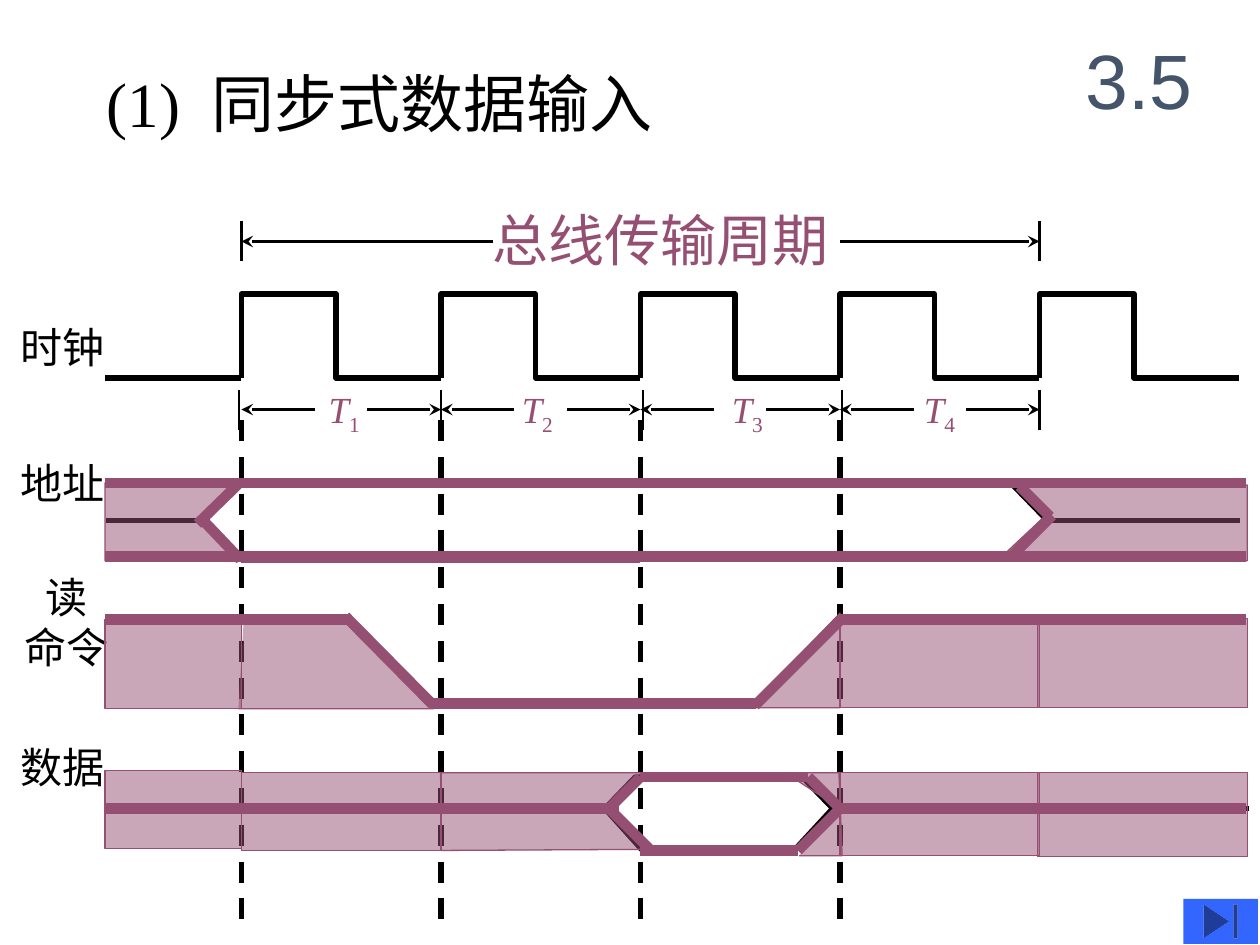
from itertools import pairwise

from lxml.etree import SubElement
from pptx import Presentation
from pptx.dml.color import RGBColor
from pptx.enum.dml import MSO_LINE_DASH_STYLE as Dash
from pptx.enum.shapes import MSO_CONNECTOR as Connector, MSO_SHAPE as Shape
from pptx.enum.text import MSO_ANCHOR as Anchor, PP_ALIGN as Align
from pptx.oxml.ns import qn
from pptx.util import Emu, Pt

SCALE = 7620
COLORS = {"ink": "000000", "plum": "954F72", "slate": "44546A", "blue": "3366FF"}
SERIF, SANS, CJK = "Times New Roman", "Arial", "Noto Sans CJK SC"
PERIOD, PULSE, LEAD = 190, 90, 130
EDGES = [LEAD + PERIOD * step for step in range(5)]
RIGHT = 1087


def px(length):
    """Turn px into EMU."""
    return Emu(length * SCALE)


def rgb(name):
    """Look up a named colour."""
    return RGBColor.from_string(COLORS[name])


def add_text(page, box, paras, size, font=SERIF, color="ink", inset=(0, 0, 0, 0),
             wrap=True, align=Align.LEFT, anchor=Anchor.TOP):
    """Write paragraphs given as (indent, [(text, format), ...]) in a text box."""
    frame = page.shapes.add_textbox(*map(px, box)).text_frame
    frame.word_wrap, frame.vertical_anchor = wrap, anchor
    (frame.margin_left, frame.margin_top,
     frame.margin_right, frame.margin_bottom) = map(px, inset)
    for index, (indent, spans) in enumerate(paras):
        para = frame.add_paragraph() if index else frame.paragraphs[0]
        para.alignment = align
        if indent:
            para._p.get_or_add_pPr().set("marL", str(px(indent)))
        for text, form in spans:
            span = para.add_run()
            span.text = text
            span.font.size, span.font.name = Pt(size), font
            span.font.italic = form.get("italic", False)
            span.font.color.rgb = rgb(color)
            props = span._r.get_or_add_rPr()
            SubElement(props, qn("a:ea")).set("typeface", CJK)
            for key in ("baseline", "spc"):
                if key in form:
                    props.set(key, str(form[key]))


def add_line(page, origin, start, end, color="ink", width=3, arrow=None, dash=None):
    """Draw a straight line between two points measured from the origin."""
    left, top = origin
    line = page.shapes.add_connector(
        Connector.STRAIGHT, px(left + start[0]), px(top + start[1]),
        px(left + end[0]), px(top + end[1]))
    line.line.color.rgb, line.line.width = rgb(color), Pt(width)
    if dash:
        line.line.dash_style = dash
    if arrow:
        SubElement(line.line._get_or_add_ln(), qn(f"a:{arrow}")).set("type", "stealth")
    SubElement(line._element.spPr, qn("a:effectLst"))


def add_rail(page, origin, y, stops, width=6):
    """Draw a level plum signal from stop to stop."""
    for start, end in pairwise(stops):
        add_line(page, origin, (start, y), (end, y), "plum", width)


def add_outline(page, origin, points, width=3, close=False):
    """Draw an unfilled or shadeable outline through the points."""
    left, top = origin
    places = [(left + x, top + y) for x, y in points]
    builder = page.shapes.build_freeform(*places[0], scale=SCALE)
    builder.add_line_segments(places[1:], close=close)
    outline = builder.convert_to_shape()
    outline.shadow.inherit = False
    outline.fill.background()
    outline.line.color.rgb, outline.line.width = rgb("ink"), Pt(width)
    return outline


def shade(shape):
    """Give a shape the half transparent plum fill."""
    shape.shadow.inherit = False
    shape.fill.solid()
    shape.fill.fore_color.rgb = rgb("plum")
    color = shape._element.spPr.find(qn("a:solidFill"))[0]
    SubElement(color, qn("a:alpha")).set("val", "50000")
    shape.line.color.rgb, shape.line.width = rgb("plum"), Pt(0.75)


def add_shade(page, origin, points, close=False):
    """Shade an irregular idle area."""
    shade(add_outline(page, origin, points, close=close))


def add_block(page, origin, x, y, width, height):
    """Shade a rectangular idle area."""
    box = (origin[0] + x, origin[1] + y, width, height)
    shade(page.shapes.add_shape(Shape.RECTANGLE, *map(px, box)))


def add_label(page, box, lines, inset):
    """Write a row name, each line with its own indent."""
    add_text(page, box, [(indent, [(text, {})]) for text, indent in lines], 24,
             inset=(inset, 6, 12, 6))


def draw_header(page, box):
    """Place the title and the section number."""
    left, top = box
    title = [("(1)", {}), (" ", {"spc": 900}), ("同步式数据输入", {})]
    add_text(page, (left, top, 620, 84), [(0, title)], 36, inset=(12, 6, 12, 6))
    add_text(page, (left + 920, top - 36, 150, 110), [(0, [("3.5", {})])], 44, SANS,
             "slate", (12, 6, 12, 6), align=Align.CENTER, anchor=Anchor.MIDDLE)


def draw_cycle(page, box):
    """Mark the whole bus cycle above the clock."""
    left, top = box
    first, last = EDGES[0], EDGES[-1]
    add_line(page, box, (first, 20), (370, 20), width=2.25, arrow="headEnd")
    add_line(page, box, (700, 20), (last, 20), width=2.25, arrow="tailEnd")
    for x in (first, last):
        add_line(page, box, (x, 0), (x, 39), width=1.25)
    add_text(page, (left + 369, top - 14, 322, 64), [(0, [("总线传输周期", {})])],
             32, CJK, "plum", wrap=False)


def draw_clock(page, box):
    """Draw the clock pulses and the four numbered periods."""
    left, top = box
    add_label(page, (left - 90, top + 20, 120, 60), [("时钟", 0)], 10)
    add_line(page, box, (LEAD, 80), (0, 80))
    for x in EDGES:
        add_outline(page, box, [(x, 80), (x, 0), (x + PULSE, 0),
                                (x + PULSE, 80), (x + PERIOD, 80)])
    for x in (128, 320, 512, 702, 890):
        add_line(page, box, (x, 91), (x, 130), width=1.25)
    for number, (x, text_x) in enumerate(zip(EDGES, (213, 397, 597, 780)), 1):
        add_line(page, box, (x, 110), (x + 70, 110), width=2.25, arrow="headEnd")
        add_line(page, box, (x + 120, 110), (x + PERIOD, 110), width=2.25, arrow="tailEnd")
        name = [("T", {"italic": True}), (str(number), {"baseline": -25000})]
        add_text(page, (left + text_x, top + 88, 34, 42), [(0, name)], 21,
                 color="plum", wrap=False)


def draw_guides(page, box):
    """Drop a dashed guide from each clock edge."""
    for x in EDGES[:-1]:
        add_line(page, box, (x, 0), (x, 490), dash=Dash.DASH)


def draw_address(page, box):
    """Draw the address signal."""
    left, top = box
    add_label(page, (left - 90, top - 30, 120, 60), [("地址", 0)], 10)
    add_outline(page, box, [(129, 0), (94, 36), (130, 72), (862, 72), (897, 36), (862, 0)],
                2.5, True)
    add_line(page, box, (100, 36), (1, 36))
    add_line(page, box, (900, 36), (1081, 36))
    add_shade(page, box, [(95, 40), (121, 1), (0, 0), (0, 74), (128, 74)])
    add_shade(page, box, [(867, 0), (1088, 2), (1088, 74), (850, 74), (897, 30)])
    for y in (2, 74):
        add_rail(page, box, y, EDGES[:3], 3)
    for y in (0, 70):
        add_rail(page, box, y, [0, *EDGES[:3], 620, *EDGES[3:], RIGHT])
    for start, end in (((129, 73), (91, 33)), ((127, 1), (88, 39)),
                       ((902, 31), (864, 69)), ((900, 32), (871, 3))):
        add_line(page, box, start, end, "plum", 6)


def draw_command(page, box):
    """Draw the read command signal."""
    left, top = box
    add_label(page, (left - 77, top - 52, 120, 108), [("读", 20), ("命令", 0)], 0)
    for start, end in (((1, -2), (233, -2)), ((315, 81), (231, -3)), ((704, -4), (622, 77)),
                       ((313, 78), (624, 78)), ((703, -2), (1084, -2))):
        add_line(page, box, start, end)
    for block in ((0, 0, LEAD, 85), (700, 0, PERIOD, 84), (888, -1, 200, 85)):
        add_block(page, box, *block)
    add_shade(page, box, [(127, 85), (313, 85), (231, 0), (132, 3)])
    add_shade(page, box, [(613, 84), (700, 84), (700, -6)], True)
    add_rail(page, box, 0, [0, LEAD, 230])
    add_rail(page, box, 80, [310, 510, 620])
    add_rail(page, box, 0, [*EDGES[3:], RIGHT])
    add_line(page, box, (312, 81), (229, -3), "plum", 6)
    add_line(page, box, (703, -2), (619, 82), "plum", 6)


def draw_data(page, box):
    """Draw the data signal."""
    left, top = box
    add_label(page, (left - 90, top - 40, 120, 60), [("数据", 0)], 10)
    add_line(page, box, (0, 30), (476, 30))
    add_line(page, box, (693, 30), (1090, 30))
    add_outline(page, box, [(476, 30), (505, 0), (664, 0), (693, 30), (657, 69), (511, 69)],
                close=True)
    for block in ((0, -6, LEAD, 74), (LEAD, -4, PERIOD, 74),
                  (700, -4, PERIOD, 79), (888, -4, 200, 80)):
        add_block(page, box, *block)
    add_shade(page, box, [(319, -4), (513, -4), (480, 30), (513, 69), (320, 70)])
    add_shade(page, box, [(700, 30), (648, -4), (699, -4), (702, 75), (661, 75)])
    for y, stops in ((30, [0, *EDGES[:2], 490]), (0, [510, 620, 670]),
                     (70, [510, 620, 660]), (30, [*EDGES[3:], RIGHT])):
        add_rail(page, box, y, stops)
    for start, end in (((480, 30), (510, 0)), ((480, 30), (520, 70)),
                       ((660, 70), (700, 30)), ((670, 0), (700, 30))):
        add_line(page, box, start, end, "plum", 6)


def draw_button(page, box):
    """Place the button that jumps to the end."""
    button = page.shapes.add_shape(Shape.ACTION_BUTTON_END, *map(px, (*box, 71, 43)))
    button.shadow.inherit = False
    button.fill.solid()
    button.fill.fore_color.rgb = rgb("blue")
    button.line.fill.background()


def main():
    """Build and save the deck."""
    deck = Presentation()
    deck.slide_width, deck.slide_height = px(1200), px(900)
    page = deck.slides.add_slide(deck.slide_layouts[6])
    for draw, box in ((draw_header, (90, 56)), (draw_cycle, (100, 210)),
                      (draw_clock, (100, 280)), (draw_guides, (100, 400)),
                      (draw_address, (100, 460)), (draw_command, (100, 590)),
                      (draw_data, (100, 740)), (draw_button, (1127, 856))):
        draw(page, box)
    deck.save("out.pptx")


if __name__ == "__main__":
    main()
